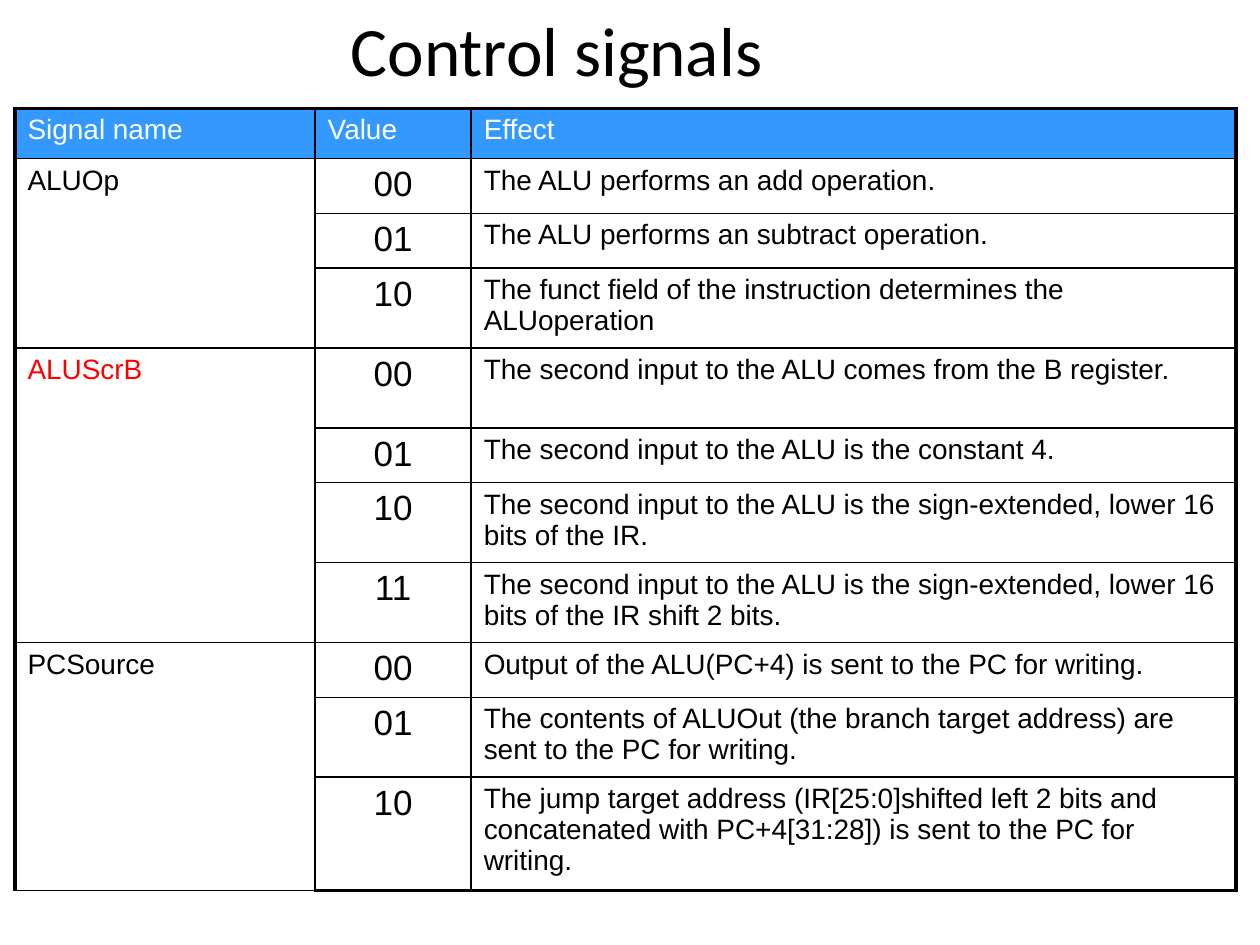
from lxml import etree
from pptx import Presentation
from pptx.dml.color import RGBColor
from pptx.enum.text import MSO_ANCHOR, PP_ALIGN
from pptx.oxml.ns import qn
from pptx.util import Pt

LEFT, CENTER = PP_ALIGN.LEFT, PP_ALIGN.CENTER
MIDDLE = MSO_ANCHOR.MIDDLE

BLACK = RGBColor(0x00, 0x00, 0x00)
WHITE = RGBColor(0xFF, 0xFF, 0xFF)
RED = RGBColor(0xFF, 0x00, 0x00)
BLUE = RGBColor(0x33, 0x99, 0xFF)

ONE_LINE, TWO_LINES, THREE_LINES = 31.2, 45.7, 64.8
HEADER_HEIGHT = 28.8
COLUMN_WIDTHS = (171.5, 89.2, 437)
HEADINGS = ("Signal name", "Value", "Effect")
SIGNALS = (
    ("ALUOp", BLACK, (
        ("00", "The ALU performs an add operation.", ONE_LINE),
        ("01", "The ALU performs an subtract operation.", ONE_LINE),
        ("10", "The funct field of the instruction determines the ALUoperation", TWO_LINES),
    )),
    ("ALUScrB", RED, (
        ("00", "The second input to the ALU comes from the B register.", TWO_LINES),
        ("01", "The second input to the ALU is the constant 4.", ONE_LINE),
        ("10", "The second input to the ALU is the sign-extended, lower 16 bits of the IR.", TWO_LINES),
        ("11", "The second input to the ALU is the sign-extended, lower 16 bits of the IR shift 2 bits.",
         TWO_LINES),
    )),
    ("PCSource", BLACK, (
        ("00", "Output of the ALU(PC+4) is sent to the PC for writing.", ONE_LINE),
        ("01", "The contents of ALUOut (the branch target address) are sent to the PC for writing.",
         TWO_LINES),
        ("10", "The jump target address (IR[25:0]shifted left 2 bits and concatenated with "
               "PC+4[31:28]) is sent to the PC for writing.", THREE_LINES),
    )),
)


class SlideBuilder:
    """Holds the style and the current slide, and draws each kind of element."""

    title_font, body_font = "Calibri", "Arial"
    title_size, body_size, value_size = 39.6, 16, 20
    inner_line, outer_line = 1, 2.25

    def __init__(self, slide):
        self.slide = slide

    def add_text(self, frame, text, font, size, color=BLACK, align=LEFT):
        para = frame.paragraphs[0]
        para.alignment = align
        span = para.add_run()
        span.text = text
        span.font.name = font
        span.font.size = Pt(size)
        span.font.color.rgb = color

    def title(self, text, left, top, width, height):
        box = self.slide.shapes.add_textbox(Pt(left), Pt(top), Pt(width), Pt(height))
        frame = box.text_frame
        frame.word_wrap = True
        frame.vertical_anchor = MIDDLE
        self.add_text(frame, text, self.title_font, self.title_size, align=CENTER)

    def table(self, left, top, widths, heights):
        frame = self.slide.shapes.add_table(
            len(heights), len(widths), Pt(left), Pt(top), Pt(sum(widths)), Pt(sum(heights)))
        table = frame.table
        table.first_row = table.horz_banding = False
        for column, width in zip(table.columns, widths):
            column.width = Pt(width)
        for row, height in zip(table.rows, heights):
            row.height = Pt(height)
        last_row, last_column = len(heights) - 1, len(widths) - 1
        for r, row in enumerate(table.rows):
            for c, cell in enumerate(row.cells):
                outer = {"L": c == 0, "R": c == last_column, "T": r == 0, "B": r == last_row}
                self.borders(cell, outer)
                cell.fill.background()
        return table

    def borders(self, cell, outer):
        properties = cell._tc.get_or_add_tcPr()
        for side, is_outer in outer.items():
            width = self.outer_line if is_outer else self.inner_line
            line = etree.SubElement(properties, qn(f"a:ln{side}"), w=str(Pt(width)))
            fill = etree.SubElement(line, qn("a:solidFill"))
            etree.SubElement(fill, qn("a:srgbClr"), val=str(BLACK))

    def cell(self, cell, text, color=BLACK):
        self.add_text(cell.text_frame, text, self.body_font, self.body_size, color)

    def header_cell(self, cell, text):
        cell.fill.solid()
        cell.fill.fore_color.rgb = BLUE
        self.cell(cell, text, WHITE)

    def value_cell(self, cell, text):
        self.add_text(cell.text_frame, text, self.body_font, self.value_size, align=CENTER)


def main():
    deck = Presentation()
    deck.slide_width, deck.slide_height = Pt(720), Pt(540)
    page = SlideBuilder(deck.slides.add_slide(deck.slide_layouts[6]))
    page.title("Control signals", 18, 3.6, 600, 48)

    heights = [HEADER_HEIGHT] + [height for _, _, rows in SIGNALS for _, _, height in rows]
    table = page.table(8.6, 61.9, COLUMN_WIDTHS, heights)
    for column, heading in enumerate(HEADINGS):
        page.header_cell(table.cell(0, column), heading)

    first = 1
    for name, color, rows in SIGNALS:
        table.cell(first, 0).merge(table.cell(first + len(rows) - 1, 0))
        page.cell(table.cell(first, 0), name, color)
        for row, (value, effect, _) in enumerate(rows, first):
            page.value_cell(table.cell(row, 1), value)
            page.cell(table.cell(row, 2), effect)
        first += len(rows)

    deck.save("out.pptx")


if __name__ == "__main__":
    main()
